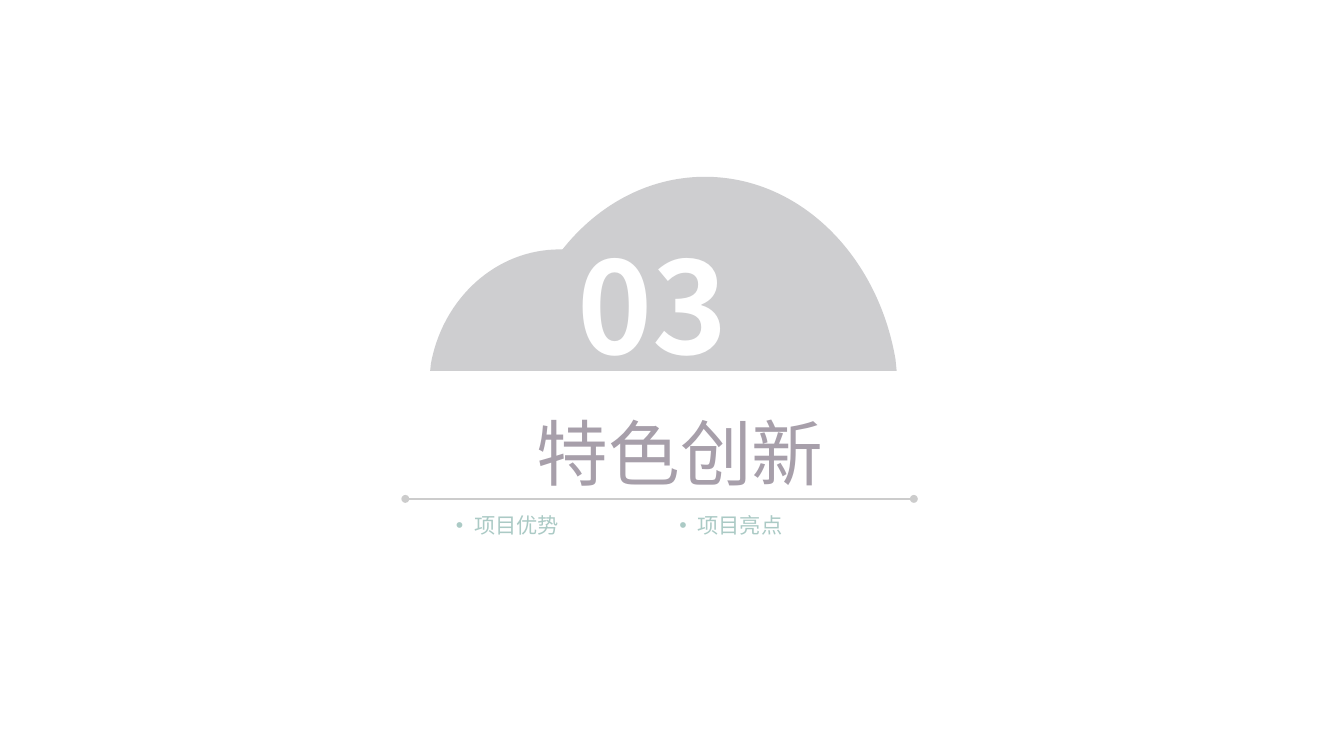
from lxml.etree import SubElement
from pptx import Presentation
from pptx.dml.color import RGBColor
from pptx.enum.shapes import MSO_CONNECTOR
from pptx.enum.text import MSO_AUTO_SIZE, PP_ALIGN
from pptx.oxml.ns import qn
from pptx.util import Inches, Pt

CLOUD = RGBColor(0xCE, 0xCE, 0xD0)
RULE = RGBColor(0xCC, 0xCC, 0xCC)
TITLE = RGBColor(0xA7, 0x9F, 0xAA)
TOPIC = RGBColor(0xAB, 0xCA, 0xC5)
WHITE = RGBColor(0xFF, 0xFF, 0xFF)
FONT = "Noto Sans CJK SC"
TOP = (0.5, 0)
DOME_CORNERS = ((0.003, 0.94), (0, 1), (1, 1), (0.997, 0.94), TOP)
LEFT_CURVE = ((0.255, 0), (0.05, 0.4), DOME_CORNERS[0])
RIGHT_CURVE = ((0.95, 0.4), (0.745, 0), TOP)


def bend_segment(segment, points, w, h):
    """Replace a straight path segment with a cubic curve."""
    curve = segment.makeelement(qn("a:cubicBezTo"))
    for px, py in points:
        SubElement(curve, qn("a:pt"), x=str(Inches(px * w)), y=str(Inches(py * h)))
    segment.getparent().replace(segment, curve)


def add_dome(slide, x, y, w, h):
    """Draw one flat-bottomed dome filling the given box."""
    start, *corners = [
        (Inches(x + px * w), Inches(y + py * h)) for px, py in (TOP, *DOME_CORNERS)]
    builder = slide.shapes.build_freeform(*start)
    builder.add_line_segments(corners, close=True)
    sp = builder.convert_to_shape()
    segments = list(sp._element.iter(qn("a:lnTo")))
    bend_segment(segments[0], LEFT_CURVE, w, h)
    bend_segment(segments[len(corners) - 1], RIGHT_CURVE, w, h)
    sp.shadow.inherit = False
    sp.fill.solid()
    sp.fill.fore_color.rgb = CLOUD
    sp.line.fill.background()


def add_text(slide, text, x, y, w, h, size, color, bold=False):
    """Add a one-line text box and return its text frame."""
    tf = slide.shapes.add_textbox(Inches(x), Inches(y), Inches(w), Inches(h)).text_frame
    tf.auto_size = MSO_AUTO_SIZE.SHAPE_TO_FIT_TEXT
    p = tf.paragraphs[0]
    r = p.add_run()
    r.text = text
    p.font.size, p.font.bold, p.font.name = Pt(size), bold, FONT
    p.font.color.rgb = color
    r.font.name = FONT
    SubElement(r.font._element, qn("a:ea"), typeface=FONT)
    return tf


def add_heading(slide, text, x, y, w, h, size, color, bold=False):
    """Add centred text without margins."""
    tf = add_text(slide, text, x, y, w, h, size, color, bold)
    tf.word_wrap = True
    tf.margin_left = tf.margin_right = tf.margin_top = tf.margin_bottom = 0
    tf.paragraphs[0].alignment = PP_ALIGN.CENTER


def add_topic(slide, text, x, y, w, h):
    """Add one bulleted topic."""
    tf = add_text(slide, text, x, y, w, h, 16, TOPIC)
    tf.word_wrap = False
    pPr = tf.paragraphs[0]._p.get_or_add_pPr()
    pPr.set("marL", str(Inches(0.19)))
    pPr.set("indent", str(-Inches(0.19)))
    pPr.insert(0, pPr.makeelement(qn("a:buFont"), {"typeface": "Arial"}))
    pPr.insert(1, pPr.makeelement(qn("a:buChar"), {"char": "•"}))


def add_rule(slide, x, y, w):
    """Draw the horizontal rule with round ends."""
    line = slide.shapes.add_connector(
        MSO_CONNECTOR.STRAIGHT, Inches(x), Inches(y), Inches(x + w), Inches(y))
    line.line.color.rgb = RULE
    line.line.width = Pt(1)
    ln = line.line._get_or_add_ln()
    for end in ("a:headEnd", "a:tailEnd"):
        SubElement(ln, qn(end), type="oval")
    SubElement(line._element.spPr, qn("a:effectLst"))


def add_cloud(slide, number, x, y, w, h):
    """Draw the numbered cloud in its box."""
    add_dome(slide, x + w - 4.01, y, 4.01, h)
    add_dome(slide, x, y + h - 1.27, 2.71, 1.27)
    add_heading(slide, number, x + 0.31, y + 0.53, 4.03, 1.62, 96, WHITE, True)


def add_caption(slide, title, topics, x, y, w):
    """Place the section title, the rule and the topics below it."""
    add_rule(slide, x, y + 0.94, w)
    add_heading(slide, title, x + 0.43, y, w - 0.43, 0.91, 54, TITLE)
    for i, topic in enumerate(topics):
        add_topic(slide, topic, x + 0.43 + i * 2.34, y + 1.03, 1.29, 0.37)


def main():
    """Build the section slide."""
    prs = Presentation()
    prs.slide_width, prs.slide_height = Inches(14.06), Inches(7.91)
    slide = prs.slides.add_slide(prs.slide_layouts[6])
    add_cloud(slide, "03", 4.5, 1.85, 4.88, 2.03)
    add_caption(slide, "特色创新", ("项目优势", "项目亮点"), 4.24, 4.28, 5.32)
    prs.save("out.pptx")


if __name__ == "__main__":
    main()
